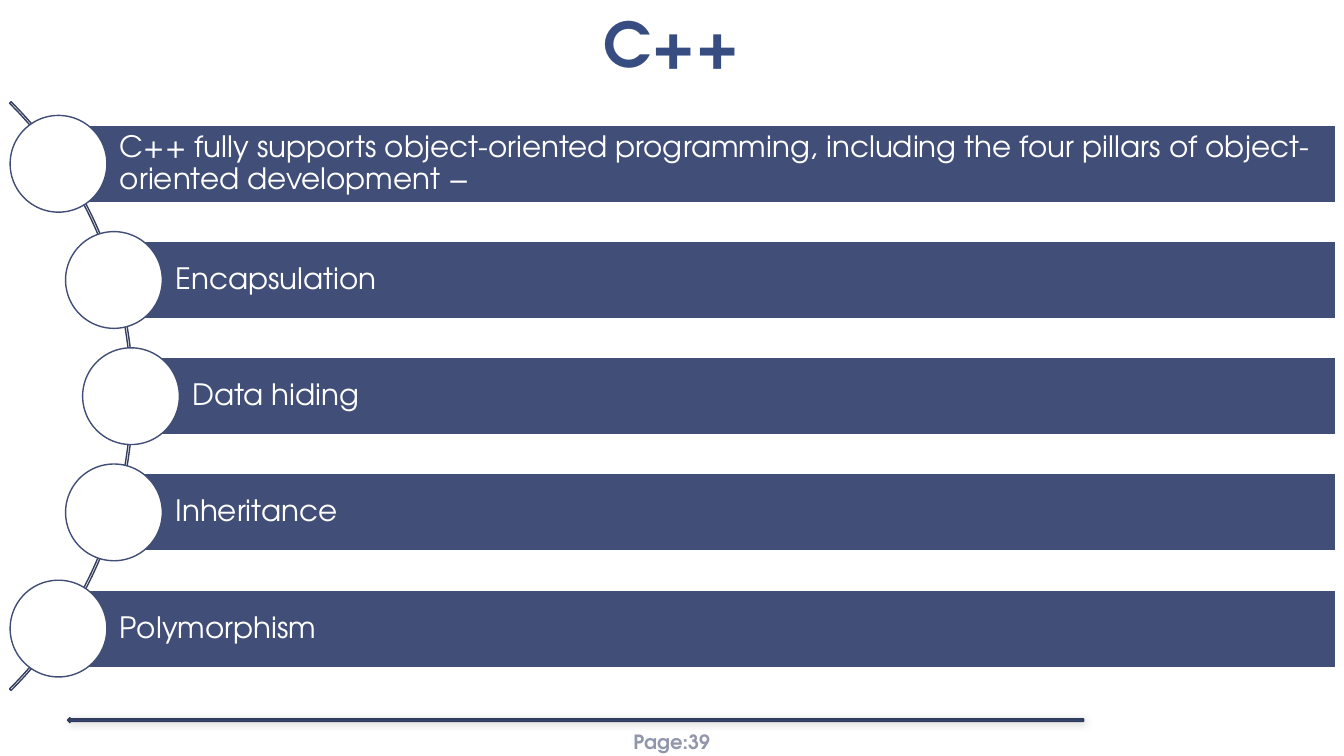
from lxml.etree import SubElement
from pptx import Presentation
from pptx.dml.color import RGBColor
from pptx.enum.shapes import MSO_SHAPE as Preset
from pptx.enum.text import MSO_ANCHOR as Anchor, PP_ALIGN as Align
from pptx.oxml.ns import qn
from pptx.util import Pt

COLORS = {
    "title": "374C81", "bar": "414E77", "arc": "343E5F", "edge": "303A58",
    "page": "9196AC", "white": "FFFFFF", "shadow": "000000",
}
FONT = "TeX Gyre Adventor"

# Each pillar row: text and x of its circle's centre on the arc
ROWS = [
    ("C++ fully supports object-oriented programming, including the four "
     "pillars of object-oriented development −", 41.8),
    ("Encapsulation", 81.4),
    ("Data hiding", 93.6),
    ("Inheritance", 81.4),
    ("Polymorphism", 41.8),
]
FIRST_MIDDLE, ROW_STEP = 117, 83
BAR_RIGHT, BAR_HEIGHT, CIRCLE = 954, 55.3, 69.1


def color(name):
    return RGBColor.from_string(COLORS[name])


def apply(target, values):
    for key, value in values.items():
        setattr(target, key, value)


class SlideBuilder:
    def __init__(self, slide, font):
        self.slide = slide
        self.font = font

    def shape(self, preset, box, fill, line, adjustments=()):
        shape = self.slide.shapes.add_shape(preset, *map(Pt, box))
        shape.shadow.inherit = False
        shape.fill.solid()
        shape.fill.fore_color.rgb = color(fill)
        shape.line.color.rgb = color(line)
        shape.line.width = Pt(1)
        for index, value in enumerate(adjustments):
            shape.adjustments[index] = value
        return shape

    def set_text(self, shape, text, insets, anchor, paragraph_format, size, ink, bold=False):
        frame = shape.text_frame
        sides = ("margin_left", "margin_top", "margin_right", "margin_bottom")
        apply(frame, dict(zip(sides, map(Pt, insets))))
        apply(frame, {"word_wrap": True, "vertical_anchor": anchor})
        paragraph = frame.paragraphs[0]
        apply(paragraph, paragraph_format)
        run = paragraph.add_run()
        run.text = text
        apply(run.font, {"name": self.font, "size": Pt(size), "bold": bold})
        run.font.color.rgb = color(ink)

    def label(self, box, text, **style):
        self.set_text(self.slide.shapes.add_textbox(*map(Pt, box)), text, **style)

    def shadow(self, shape, blur, distance, angle, opacity):
        effects = shape._element.spPr.find(qn("a:effectLst"))
        outer = SubElement(effects, qn("a:outerShdw"), {
            "blurRad": str(Pt(blur)), "dist": str(Pt(distance)),
            "dir": str(angle * 60000), "rotWithShape": "0"})
        tint = SubElement(outer, qn("a:srgbClr"), val=COLORS["shadow"])
        SubElement(tint, qn("a:alpha"), val=str(opacity * 1000))


def main():
    deck = Presentation()
    apply(deck, {"slide_width": Pt(960), "slide_height": Pt(540)})
    builder = SlideBuilder(deck.slides.add_slide(deck.slide_layouts[6]), FONT)

    # Footer: page number and arrow
    builder.label((416.2, 515.5, 127.4, 28.8), "Page:39", insets=(3, 1.5, 3, 1.5),
                  anchor=Anchor.MIDDLE, paragraph_format={"alignment": Align.CENTER},
                  size=14, ink="page", bold=True)
    arrow = builder.shape(Preset.LEFT_ARROW, (48.2, 512.6, 725.8, 3.6), "title", "edge")
    builder.shadow(arrow, blur=6, distance=1, angle=45, opacity=20)

    # Arc behind the pillars
    builder.shape(Preset.BLOCK_ARC, (-499.7, -14.4, 594.7, 594.7), "white", "arc",
                  (189, 27, 0.0026))

    # Pillars: bar with text, circle on its left end
    for row, (pillar, center) in enumerate(ROWS):
        middle = FIRST_MIDDLE + row * ROW_STEP
        bar = builder.shape(
            Preset.RECTANGLE,
            (center, middle - BAR_HEIGHT / 2, BAR_RIGHT - center, BAR_HEIGHT),
            "bar", "white")
        builder.set_text(bar, pillar, insets=(43.9, 4.2, 4.2, 4.2), anchor=Anchor.MIDDLE,
                         paragraph_format={"alignment": Align.LEFT, "line_spacing": 0.9},
                         size=21, ink="white")
        builder.shape(Preset.OVAL,
                      (center - CIRCLE / 2, middle - CIRCLE / 2, CIRCLE, CIRCLE),
                      "white", "bar")

    # Title
    builder.label((0, 0, 960, 61.9), "C++", insets=(9.4, 5, 9.4, 5), anchor=Anchor.BOTTOM,
                  paragraph_format={"alignment": Align.CENTER, "line_spacing": 0.8},
                  size=44, ink="title", bold=True)

    deck.save("out.pptx")


if __name__ == "__main__":
    main()
